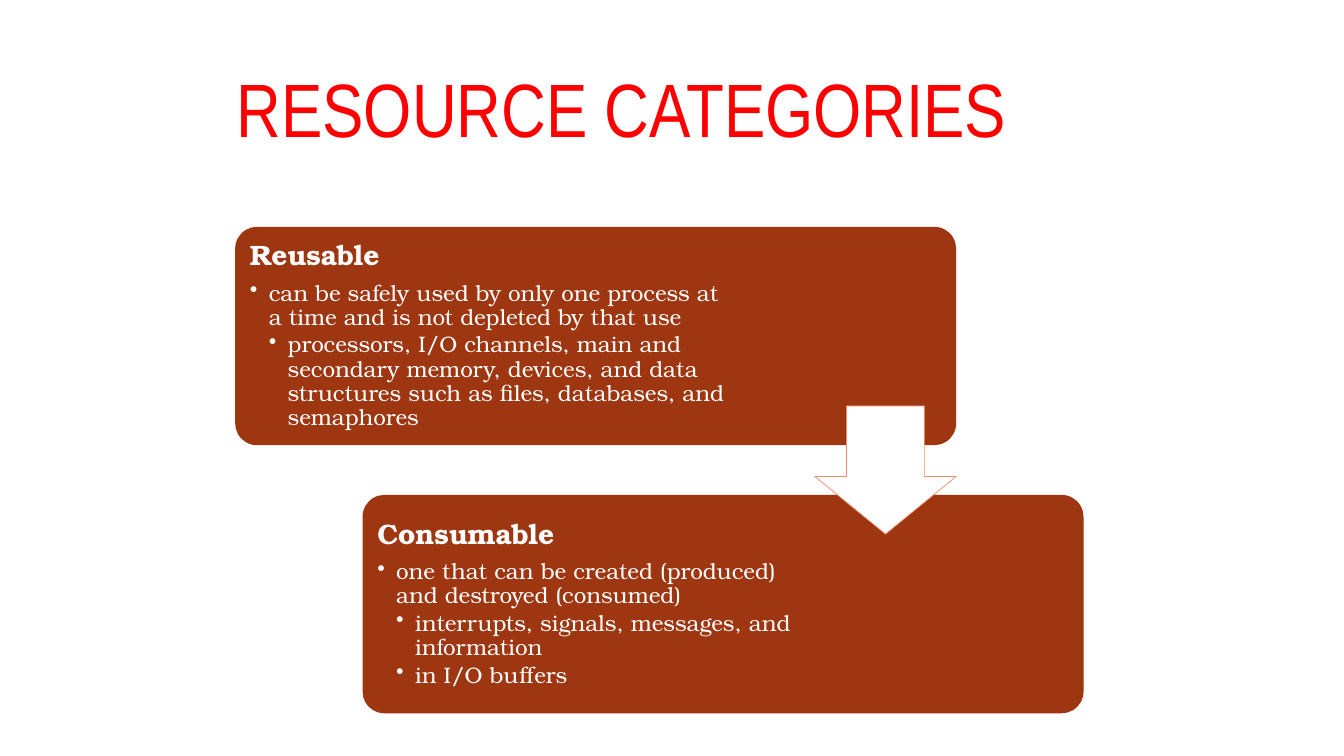
from dataclasses import dataclass

from lxml import etree
from pptx import Presentation
from pptx.dml.color import RGBColor
from pptx.enum.shapes import MSO_SHAPE
from pptx.enum.text import MSO_ANCHOR
from pptx.oxml.ns import qn
from pptx.util import Pt

ROUNDED = MSO_SHAPE.ROUNDED_RECTANGLE
DOWN_ARROW = MSO_SHAPE.DOWN_ARROW
MIDDLE = MSO_ANCHOR.MIDDLE


@dataclass(frozen=True)
class Theme:
    title_color: RGBColor = RGBColor(0xFF, 0x00, 0x00)
    card_fill: RGBColor = RGBColor(0x9E, 0x36, 0x11)
    white: RGBColor = RGBColor(0xFF, 0xFF, 0xFF)
    arrow_line: RGBColor = RGBColor(0xEF, 0x8C, 0x6A)
    title_font: str = "Arial Narrow"
    body_font: str = "TeX Gyre Bonum"
    title_size: int = 54
    heading_size: int = 20
    bullet_size: int = 16


THEME = Theme()
CARD_WIDTH, CARD_HEIGHT = 515, 156
CARD_PADDING = 4.5
BULLET_INDENT = 13.5

# left, top, text width, heading, bullets as (level, wording)
CARDS = [
    (168, 162, 353.5, "Reusable", [
        (1, "can be safely used by only one process at a time and is not depleted by that use"),
        (2, "processors, I/O channels, main and secondary memory, devices, "
            "and data structures such as files, databases, and semaphores"),
    ]),
    (259, 353.5, 313, "Consumable", [
        (1, "one that can be created (produced) and destroyed (consumed)"),
        (2, "interrupts, signals, messages, and information"),
        (2, "in I/O buffers"),
    ]),
]


def add_text_area(slide, left, top, width, height):
    area = slide.shapes.add_textbox(Pt(left), Pt(top), Pt(width), Pt(height))
    frame = area.text_frame
    frame.word_wrap = True
    frame.vertical_anchor = MIDDLE
    return frame


def write(paragraph, wording, font, size, color, bold=False):
    paragraph.text = wording
    paragraph.line_spacing = 0.9
    for run in paragraph.runs:
        run.font.name = font
        run.font.size = Pt(size)
        run.font.color.rgb = color
        run.font.bold = bold


def set_bullet(paragraph, level):
    paragraph.level = level
    properties = paragraph._p.get_or_add_pPr()
    properties.set("marL", str(Pt(BULLET_INDENT * level)))
    properties.set("indent", str(-Pt(BULLET_INDENT)))
    etree.SubElement(properties, qn("a:buChar")).set("char", "•")


def add_filled_shape(slide, kind, left, top, width, height, fill, adjustments):
    shape = slide.shapes.add_shape(kind, Pt(left), Pt(top), Pt(width), Pt(height))
    shape.shadow.inherit = False
    shape.fill.solid()
    shape.fill.fore_color.rgb = fill
    shape.line.fill.background()
    for index, value in enumerate(adjustments):
        shape.adjustments[index] = value
    return shape


def add_title(slide, wording):
    frame = add_text_area(slide, 162, 36, 616, 90)
    write(frame.paragraphs[0], wording, THEME.title_font, THEME.title_size, THEME.title_color)


def add_card(slide, left, top, text_width, heading, bullets):
    add_filled_shape(slide, ROUNDED, left, top, CARD_WIDTH, CARD_HEIGHT,
                     THEME.card_fill, [0.1])
    frame = add_text_area(slide, left + CARD_PADDING, top + CARD_PADDING,
                          text_width, CARD_HEIGHT - 2 * CARD_PADDING)
    frame.margin_left = frame.margin_right = Pt(6)
    frame.margin_top = frame.margin_bottom = Pt(6)

    heading_line = frame.paragraphs[0]
    write(heading_line, heading, THEME.body_font, THEME.heading_size, THEME.white, bold=True)
    heading_line.space_after = Pt(0.35 * THEME.heading_size)
    for level, wording in bullets:
        bullet = frame.add_paragraph()
        write(bullet, wording, THEME.body_font, THEME.bullet_size, THEME.white)
        bullet.space_after = Pt(0.15 * THEME.bullet_size)
        set_bullet(bullet, level)


def add_down_arrow(slide):
    arrow = add_filled_shape(slide, DOWN_ARROW, 582, 290, 101, 91.5,
                             THEME.white, [0.55, 0.45])
    arrow.line.color.rgb = THEME.arrow_line
    arrow.line.width = Pt(0.5)


def main():
    presentation = Presentation()
    presentation.slide_width, presentation.slide_height = Pt(960), Pt(540)
    slide = presentation.slides.add_slide(presentation.slide_layouts[6])
    add_title(slide, "RESOURCE CATEGORIES")
    for card in CARDS:
        add_card(slide, *card)
    add_down_arrow(slide)
    presentation.save("out.pptx")


if __name__ == "__main__":
    main()
